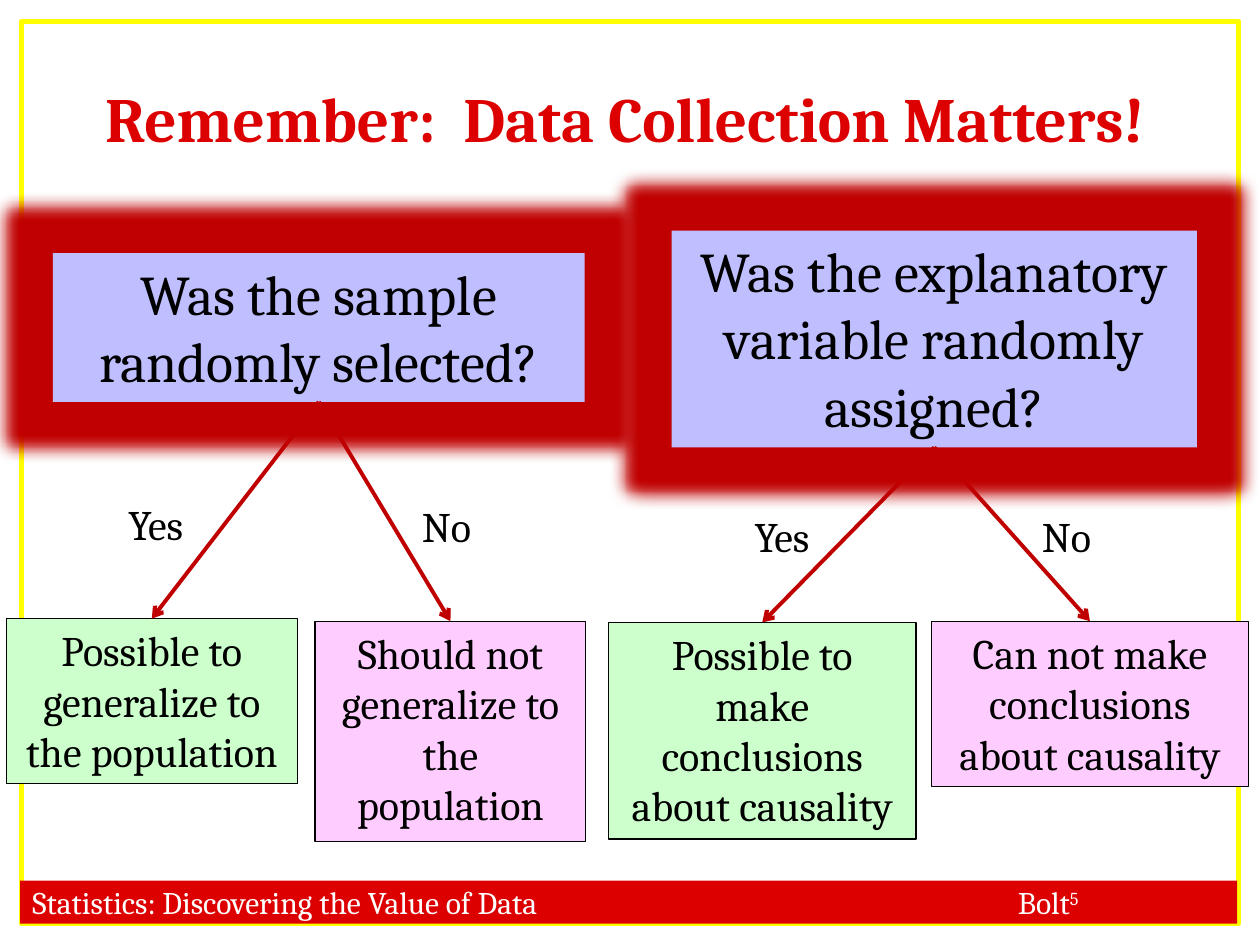
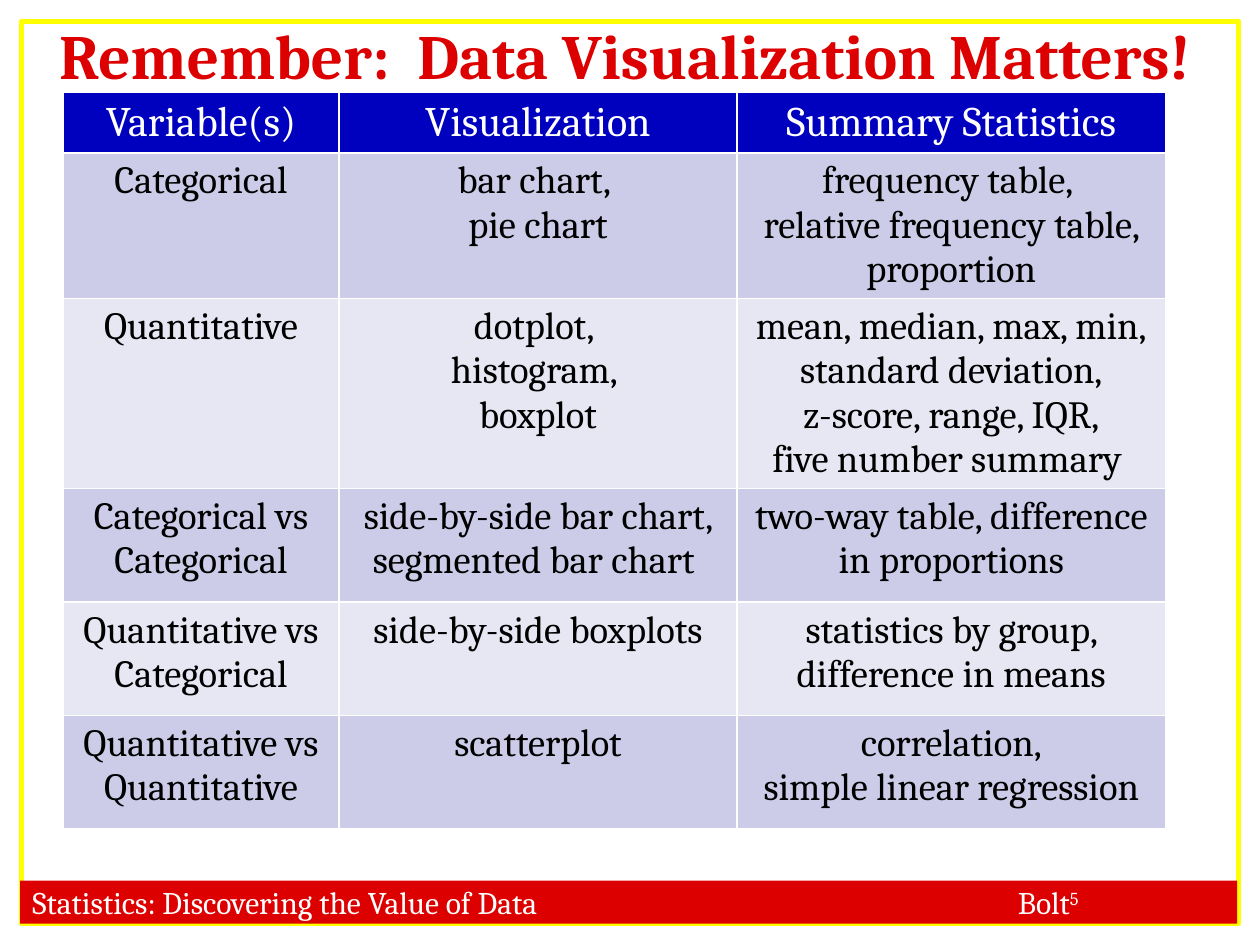
from lxml import etree
from pptx import Presentation
from pptx import util as u
from pptx.dml.color import RGBColor
from pptx.enum import shapes, text
from pptx.oxml import parse_xml
from pptx.oxml.ns import qn

HUES = {"white": "FFFFFF", "black": "000000", "frame": "FFFF00", "red": "DC0000",
        "dark": "C00000", "ask": "BFBFFF", "yes": "CCFFCC", "no": "FFCCFF",
        "head": "0000BF", "odd": "CCCCE8", "even": "E7E7F4"}
FONT = "Cambria"
NS = 'xmlns:a="http://schemas.openxmlformats.org/drawingml/2006/main"'
MID = text.PP_ALIGN.CENTER

TREES = [
    ((0.05, 1.83), ("Was the sample randomly selected?", (0.37, 0.18, 4.22, 1.18)),
     [("Yes", (0.87, 2.08), "Possible to generalize to the population",
       (0, 3.08, 2.31, 1.31)),
      ("No", (3.2, 2.09), "Should not generalize to the population",
       (2.45, 3.1, 2.15, 1.75))]),
    ((4.83, 1.83), ("Was the explanatory variable randomly assigned?", (0.5, 0, 4.17, 1.72)),
     [("Yes", (1.06, 2.17), "Possible to make conclusions about causality",
       (0, 3.11, 2.44, 1.72)),
      ("No", (3.34, 2.17), "Can not make conclusions about causality",
       (2.56, 3.1, 2.52, 1.31))]),
]

ROWS = [
    ("Variable(s)", "Visualization", "Summary Statistics"),
    ("Categorical", "bar chart, \npie chart",
     "frequency table, \nrelative frequency table, proportion"),
    ("Quantitative", "dotplot, \nhistogram, \nboxplot",
     "mean, median, max, min,\nstandard deviation,\nz-score, range, IQR,\nfive number summary "),
    ("Categorical vs Categorical", "side-by-side bar chart, segmented bar chart ",
     "two-way table, difference in proportions"),
    ("Quantitative vs Categorical", "side-by-side boxplots",
     "statistics by group, difference in means"),
    ("Quantitative vs Quantitative", "scatterplot", "correlation,\nsimple linear regression"),
]
WIDE = [2.19, 3.16, 3.4]
HIGH = [0.48, 1.15, 1.5, 0.9, 0.9, 0.9]


def hue(name):
    """Return the named colour."""
    return RGBColor.from_string(HUES[name])


def place(box, base=(0, 0)):
    """Turn a box in inches, offset from a base, into lengths."""
    x, y, w, h = box
    return [u.Inches(v) for v in (base[0] + x, base[1] + y, w, h)]


def write(frame, words, size, tint="black", align=None, **more):
    """Fill a text frame with one paragraph for each line of words."""
    frame.text = words
    frame.word_wrap = True
    look = {"size": u.Pt(size), "name": FONT, **more}
    for para in frame.paragraphs:
        para.alignment = align
        for run in para.runs:
            run.font.color.rgb = hue(tint)
            for key, val in look.items():
                setattr(run.font, key, val)


def block(slide, spot, fill=None, line=None, width=0.75):
    """Add a flat rectangle."""
    rect = slide.shapes.add_shape(shapes.MSO_SHAPE.RECTANGLE, *spot)
    rect.shadow.inherit = False
    rect.text_frame.vertical_anchor = text.MSO_ANCHOR.TOP
    for part, tint in ((rect.fill, fill), (rect.line.fill, line)):
        if tint:
            part.solid()
            part.fore_color.rgb = hue(tint)
        else:
            part.background()
    if line:
        rect.line.width = u.Pt(width)
    return rect


def label(slide, spot, words, size, **more):
    """Add a text box."""
    note = slide.shapes.add_textbox(*spot)
    write(note.text_frame, words, size, **more)


def footer(slide, box):
    """Add the band with the course name and its mark at a tab stop."""
    band = block(slide, place(box), "red")
    frame = band.text_frame
    frame.vertical_anchor = text.MSO_ANCHOR.MIDDLE
    write(frame, "Statistics: Discovering the Value of Data\tBolt", 18, "white",
          text.PP_ALIGN.LEFT)
    para = frame.paragraphs[0]
    tabs = etree.SubElement(para._p.get_or_add_pPr(), qn("a:tabLst"))
    etree.SubElement(tabs, qn("a:tab"), pos=str(u.Inches(7.82)), algn="l")
    mark = para.add_run()
    mark.text = "5"
    for key, val in {"size": u.Pt(18), "name": FONT}.items():
        setattr(mark.font, key, val)
    mark.font.color.rgb = hue("white")
    mark._r.get_or_add_rPr().set("baseline", "30000")


def start(deck):
    """Add a blank slide with the frame and footer."""
    slide = deck.slides.add_slide(deck.slide_layouts[6])
    block(slide, place((0.17, 0.17, 9.66, 7.16)), line="frame", width=3)
    footer(slide, (0.16, 6.99, 9.66, 0.34))
    return slide


def title(slide, top, words):
    """Add the slide title."""
    label(slide, place((0.25, top, 9.42, 1)), words, 36, tint="red", align=MID, bold=True)


def arrow(slide, root, leaf):
    """Join the foot of one box to the head of another."""
    line = slide.shapes.add_connector(shapes.MSO_CONNECTOR.STRAIGHT, 0, 0, 0, 0)
    line.begin_connect(root, 2)
    line.end_connect(leaf, 0)
    line.line.color.rgb = hue("dark")
    line.line.width = u.Pt(2.25)
    etree.SubElement(line.line._get_or_add_ln(), qn("a:tailEnd"), type="arrow")
    etree.SubElement(line._element.spPr, qn("a:effectLst"))


def glow(rect):
    """Surround a box with a dark red glow."""
    rect._element.spPr.find(qn("a:effectLst")).append(parse_xml(
        f'<a:glow {NS} rad="{u.Inches(0.25)}"><a:srgbClr val="{HUES["dark"]}"/></a:glow>'))


def tree(slide, base, ask, ends):
    """Draw a question with its two answers, relative to a base point."""
    words, box = ask
    root = block(slide, place(box, base), "ask")
    glow(root)
    write(root.text_frame, words, 32, align=MID)
    for (reply, spot, words, box), tint in zip(ends, ("yes", "no")):
        leaf = block(slide, place(box, base), tint, "black")
        write(leaf.text_frame, words, 24, align=MID)
        arrow(slide, root, leaf)
        label(slide, place((*spot, 1.22, 0.5), base), reply, 24)


def border(cell):
    """Give a cell thin white edges."""
    props = cell._tc.get_or_add_tcPr()
    for spot, side in enumerate(("lnL", "lnR", "lnT", "lnB")):
        props.insert(spot, parse_xml(
            f'<a:{side} {NS} w="{u.Pt(1)}"><a:solidFill>'
            f'<a:srgbClr val="{HUES["white"]}"/></a:solidFill></a:{side}>'))


def grid(slide, left, top):
    """Draw the table of plots and statistics."""
    spot = place((left, top, sum(WIDE), sum(HIGH)))
    table = slide.shapes.add_table(len(ROWS), len(WIDE), *spot).table
    for col, width in zip(table.columns, WIDE):
        col.width = u.Inches(width)
    for r, (row, high) in enumerate(zip(ROWS, HIGH)):
        table.rows[r].height = u.Inches(high)
        fill = ("odd" if r % 2 else "even") if r else "head"
        size, tint = (22, "black") if r else (24, "white")
        for c, words in enumerate(row):
            cell = table.cell(r, c)
            cell.fill.solid()
            cell.fill.fore_color.rgb = hue(fill)
            border(cell)
            write(cell.text_frame, words, size, tint, MID)


def main():
    """Build and save the deck."""
    deck = Presentation()
    deck.slide_width, deck.slide_height = u.Inches(10), u.Inches(7.5)
    slide = start(deck)
    for part in TREES:
        tree(slide, *part)
    title(slide, 0.58, "Remember:  Data Collection Matters!")
    slide = start(deck)
    grid(slide, 0.5, 0.73)
    title(slide, 0.08, "Remember:  Data Visualization Matters!")
    deck.save("out.pptx")


if __name__ == "__main__":
    main()
